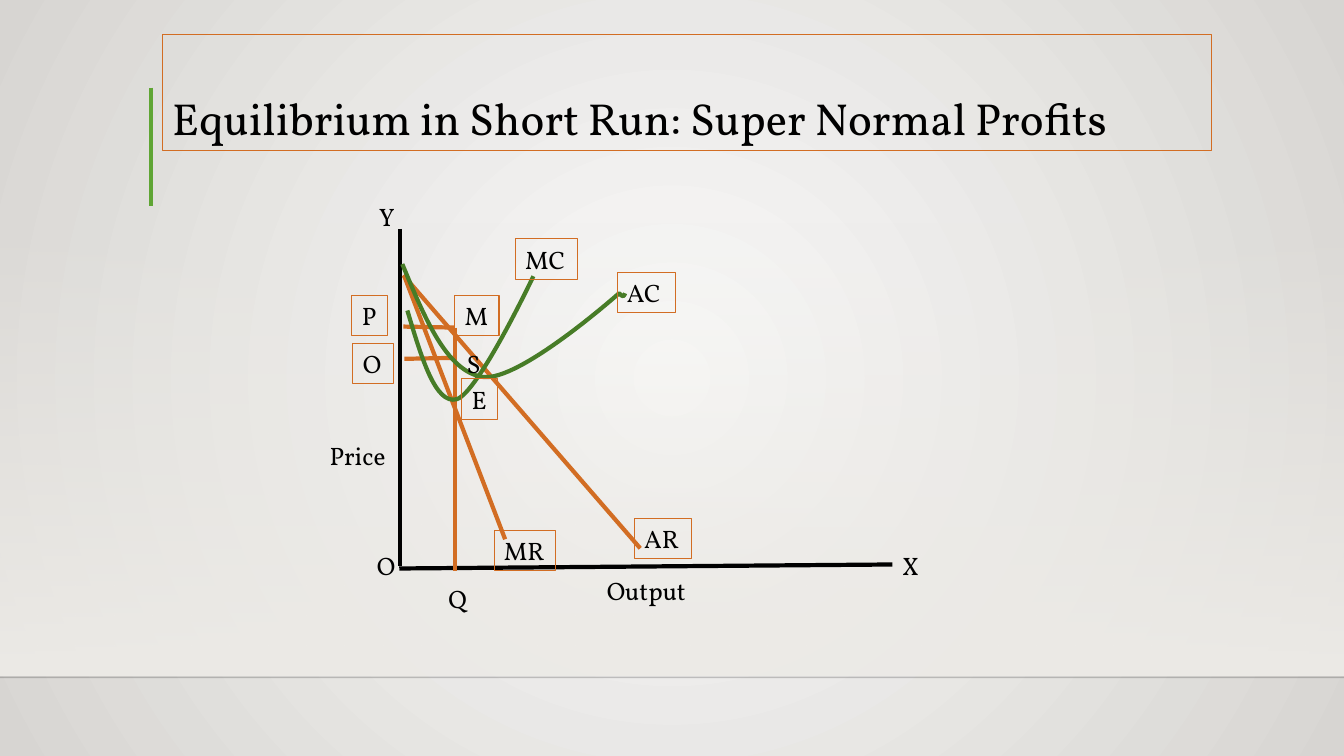
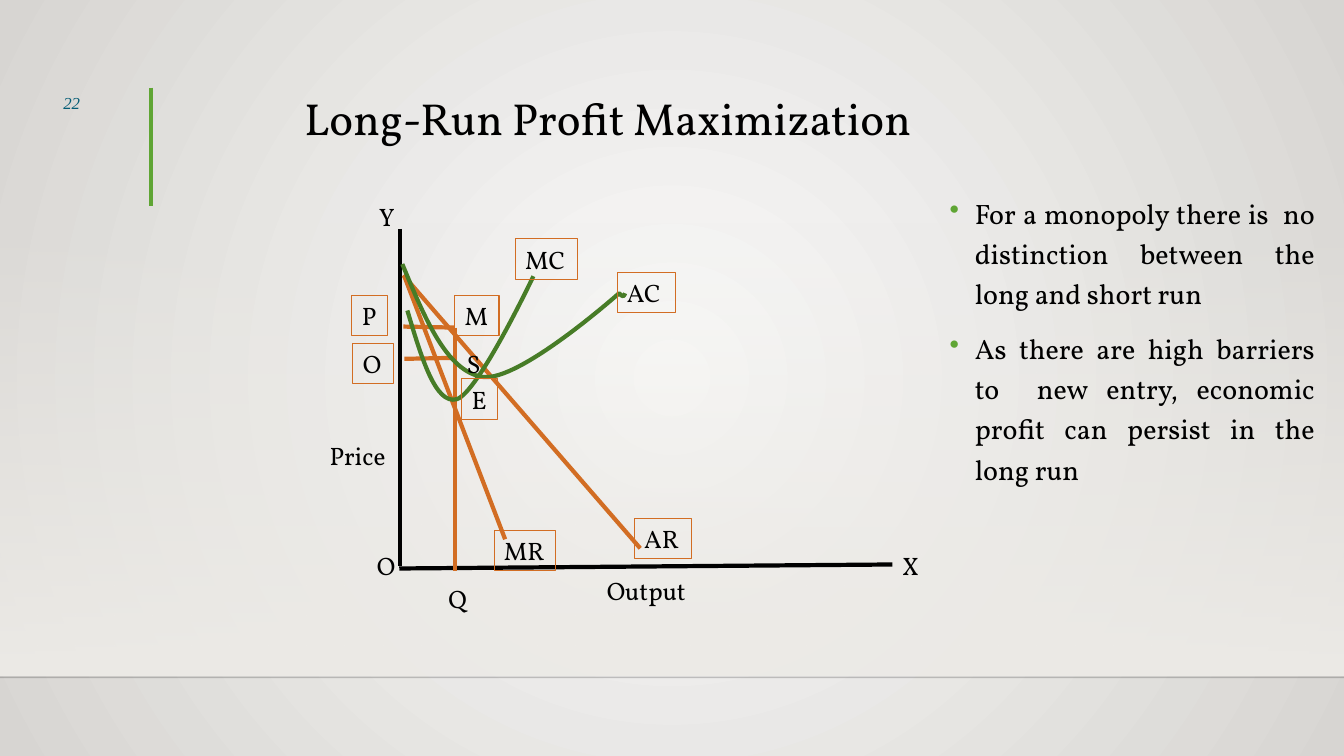
from dataclasses import dataclass

from lxml import etree
from pptx import Presentation
from pptx.dml.color import RGBColor
from pptx.enum.shapes import MSO_CONNECTOR, MSO_SHAPE
from pptx.enum.text import MSO_ANCHOR, MSO_AUTO_SIZE, PP_ALIGN
from pptx.oxml.ns import qn
from pptx.util import Inches, Pt

STRAIGHT = MSO_CONNECTOR.STRAIGHT
RECTANGLE = MSO_SHAPE.RECTANGLE
TOP, BOTTOM = MSO_ANCHOR.TOP, MSO_ANCHOR.BOTTOM
FIT_SHAPE = MSO_AUTO_SIZE.SHAPE_TO_FIT_TEXT
LEFT, JUSTIFY = PP_ALIGN.LEFT, PP_ALIGN.JUSTIFY


@dataclass(frozen=True)
class Theme:
    ink: RGBColor = RGBColor.from_string("000000")
    orange: RGBColor = RGBColor.from_string("D26D23")
    curve: RGBColor = RGBColor.from_string("477C27")
    accent: RGBColor = RGBColor.from_string("5FA534")
    number: RGBColor = RGBColor.from_string("045C75")
    floor: RGBColor = RGBColor.from_string("000001")
    band: RGBColor = RGBColor.from_string("EDEBE7")
    center: RGBColor = RGBColor.from_string("FAFAF9")
    edge: RGBColor = RGBColor.from_string("D7D5D2")
    font: str = "Vollkorn"
    number_font: str = "Times New Roman"
    title_size: int = 32
    body_size: int = 20
    label_size: int = 18
    number_size: int = 12
    heavy: float = 3
    thin: float = 0.75


THEME = Theme()

# Slide content
SLIDES = [
    {"title": "Equilibrium in Short Run: Super Normal Profits",
     "title_area": (1.61, 0.34, 10.41, 1.15), "align": LEFT, "framed": True,
     "number": None, "points": []},
    {"title": "Long-Run Profit Maximization",
     "title_area": (2.92, 0.41, 8.25, 1.08), "align": JUSTIFY, "framed": False,
     "number": "22",
     "points": [
         "For a monopoly there is  no distinction between the long and short run",
         "As there are high barriers to  new entry, economic profit can persist "
         "in the long run"]},
]

# Diagram: straight lines as start x, start y, end x, end y
AXES = [(3.97, 2.27, 3.97, 5.62), (3.96, 5.64, 8.85, 5.6)]
REVENUE_LINES = [(4, 2.73, 6.35, 5.44), (4.01, 2.74, 5.01, 5.35)]
GUIDES = [(4.01, 3.56, 4.51, 3.55), (4.51, 3.25, 4.51, 5.66), (4.51, 3.25, 4, 3.24)]

# Cost curves: a start point, then three points for each Bézier segment
AVERAGE_COST = [(3.99, 2.62), (4.21, 3.15), (4.43, 3.69), (4.79, 3.74),
                (5.15, 3.79), (6.14, 2.91), (6.14, 2.91),
                (6.15, 2.92), (6.17, 2.94), (6.18, 2.94),
                (6.19, 2.94), (6.2, 2.91), (6.2, 2.91)]
MARGINAL_COST = [(4.04, 3.08), (4.18, 3.55), (4.32, 4.02), (4.53, 3.96),
                 (4.74, 3.9), (5.29, 2.74), (5.29, 2.74)]

# Labels as text, left, top, width
LABEL_HEIGHT = 0.4
FRAMED_LABELS = [("AR", 6.29, 5.14, 0.57), ("MR", 4.9, 5.26, 0.61),
                 ("AC", 6.12, 2.7, 0.58), ("MC", 5.11, 2.37, 0.62),
                 ("E", 4.58, 3.76, 0.36), ("P", 3.49, 2.93, 0.35),
                 ("M", 4.51, 2.93, 0.44), ("O", 3.5, 3.41, 0.4)]
PLAIN_LABELS = [("Output", 5.92, 5.66, 1.02), ("Price", 3.17, 4.32, 0.76),
                ("X", 8.85, 5.41, 0.37), ("O", 3.64, 5.41, 0.4),
                ("Y", 3.66, 1.95, 0.37), ("S", 4.53, 3.41, 0.34),
                ("Q", 4.35, 5.74, 0.4)]


def add_line(page, ends, color, width):
    line = page.shapes.add_connector(STRAIGHT, *[Inches(value) for value in ends])
    line.line.color.rgb = color
    line.line.width = Pt(width)
    etree.SubElement(line._element.spPr, qn("a:effectLst"))
    return line


def add_text(page, area, lines, size, color=THEME.ink, font=THEME.font,
             align=LEFT, anchor=TOP, wrap=True, framed=False):
    box = page.shapes.add_textbox(*[Inches(value) for value in area])
    frame = box.text_frame
    frame.text = "\n".join(lines)
    frame.word_wrap = wrap
    frame.vertical_anchor = anchor
    if not wrap:
        frame.auto_size = FIT_SHAPE
    if framed:
        box.line.color.rgb = THEME.orange
        box.line.width = Pt(THEME.thin)
    for para in frame.paragraphs:
        para.alignment = align
        for span in para.runs:
            span.font.name = font
            span.font.size = Pt(size)
            span.font.color.rgb = color
    return box


deck = Presentation()
deck.slide_width = Inches(13.33)
deck.slide_height = Inches(7.5)

# Shared background: light centre, darker edges
backdrop = deck.slide_master.background.fill
backdrop.gradient()
for stop, color in zip(backdrop.gradient_stops, (THEME.center, THEME.edge)):
    stop.color.rgb = color
gradient = deck.slide_master._element.find(".//" + qn("p:bgPr")).find(qn("a:gradFill"))
gradient.remove(gradient.find(qn("a:lin")))
radial = etree.SubElement(gradient, qn("a:path"))
radial.set("path", "circle")
focus = etree.SubElement(radial, qn("a:fillToRect"))
for side in "ltrb":
    focus.set(side, "50000")

for content in SLIDES:
    page = deck.slides.add_slide(deck.slide_layouts[6])

    # Band fading in towards the floor line
    band = page.shapes.add_shape(RECTANGLE, 0, Inches(2.2), deck.slide_width, Inches(4.5))
    band.shadow.inherit = False
    band.line.fill.background()
    band.fill.gradient()
    band.fill.gradient_angle = 270
    for stop in band.fill.gradient_stops:
        stop.color.rgb = THEME.band
    floor = add_line(page, (0, 6.72, 13.33, 6.72), THEME.floor, 1)
    for part, alpha in ((band, "0"), (floor, "20000")):
        tint = part._element.spPr.find(".//" + qn("a:srgbClr"))
        etree.SubElement(tint, qn("a:alpha")).set("val", alpha)

    # Title with its accent rule
    add_line(page, (1.5, 0.87, 1.5, 2.04), THEME.accent, THEME.heavy)
    title = add_text(page, content["title_area"], [content["title"]], THEME.title_size,
                     align=content["align"], anchor=BOTTOM, framed=content["framed"])
    title.text_frame.paragraphs[0].line_spacing = 0.9

    # Bulleted points
    if content["points"]:
        body = add_text(page, (9.32, 1.83, 3.82, 3.99), content["points"],
                        THEME.body_size, align=JUSTIFY)
        for para in body.text_frame.paragraphs:
            para.line_spacing = 1.2
            para.space_before = Pt(10)
            props = para._p.get_or_add_pPr()
            props.set("marL", str(Inches(0.25)))
            props.set("indent", str(-Inches(0.25)))
            bullet_color = etree.SubElement(props, qn("a:buClr"))
            etree.SubElement(bullet_color, qn("a:srgbClr")).set("val", str(THEME.accent))
            etree.SubElement(props, qn("a:buChar")).set("char", "•")

    # Page number
    if content["number"]:
        number = add_text(page, (0.53, 0.87, 0.89, 0.55), [content["number"]],
                          THEME.number_size, THEME.number, THEME.number_font, JUSTIFY)
        number.text_frame.paragraphs[0].runs[0].font.italic = True

    # Axes, revenue lines and guides
    for ends in AXES:
        add_line(page, ends, THEME.ink, THEME.heavy)
    for ends in REVENUE_LINES + GUIDES:
        add_line(page, ends, THEME.orange, THEME.heavy)

    # Cost curves: every three points become one Bézier segment
    for points in (AVERAGE_COST, MARGINAL_COST):
        start, *others = [(Inches(x), Inches(y)) for x, y in points]
        builder = page.shapes.build_freeform(*start)
        builder.add_line_segments(others, close=False)
        curve = builder.convert_to_shape()
        curve.shadow.inherit = False
        curve.fill.background()
        curve.line.color.rgb = THEME.curve
        curve.line.width = Pt(THEME.heavy)
        steps = list(curve._element.iter(qn("a:lnTo")))
        outline = steps[0].getparent()
        for first in range(0, len(steps), 3):
            bend = etree.SubElement(outline, qn("a:cubicBezTo"))
            for step in steps[first:first + 3]:
                bend.append(step[0])
                outline.remove(step)

    # Labels
    for labels, framed in ((FRAMED_LABELS, True), (PLAIN_LABELS, False)):
        for text, left, top, width in labels:
            add_text(page, (left, top, width, LABEL_HEIGHT), [text], THEME.label_size,
                     wrap=False, framed=framed)

deck.save("out.pptx")
